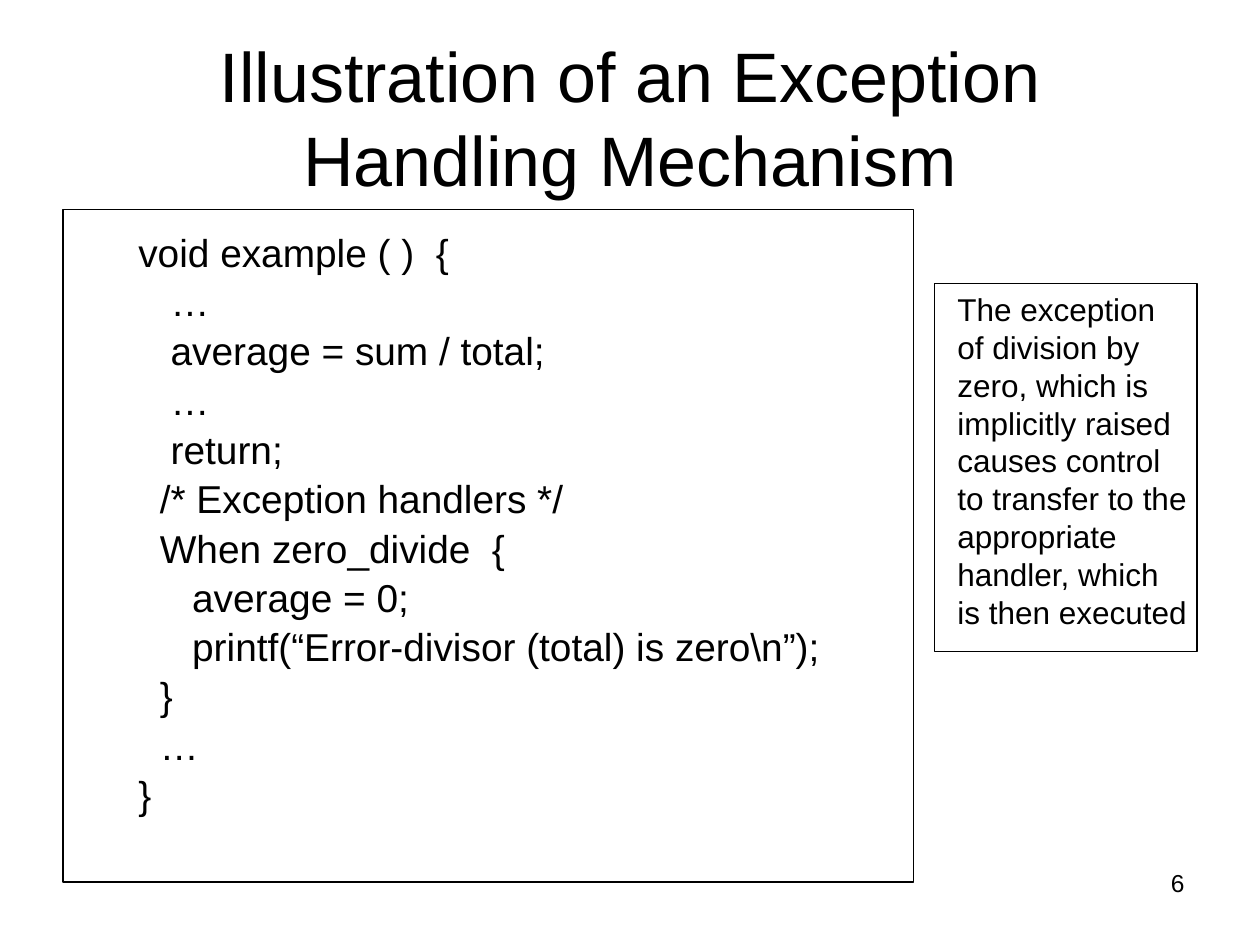
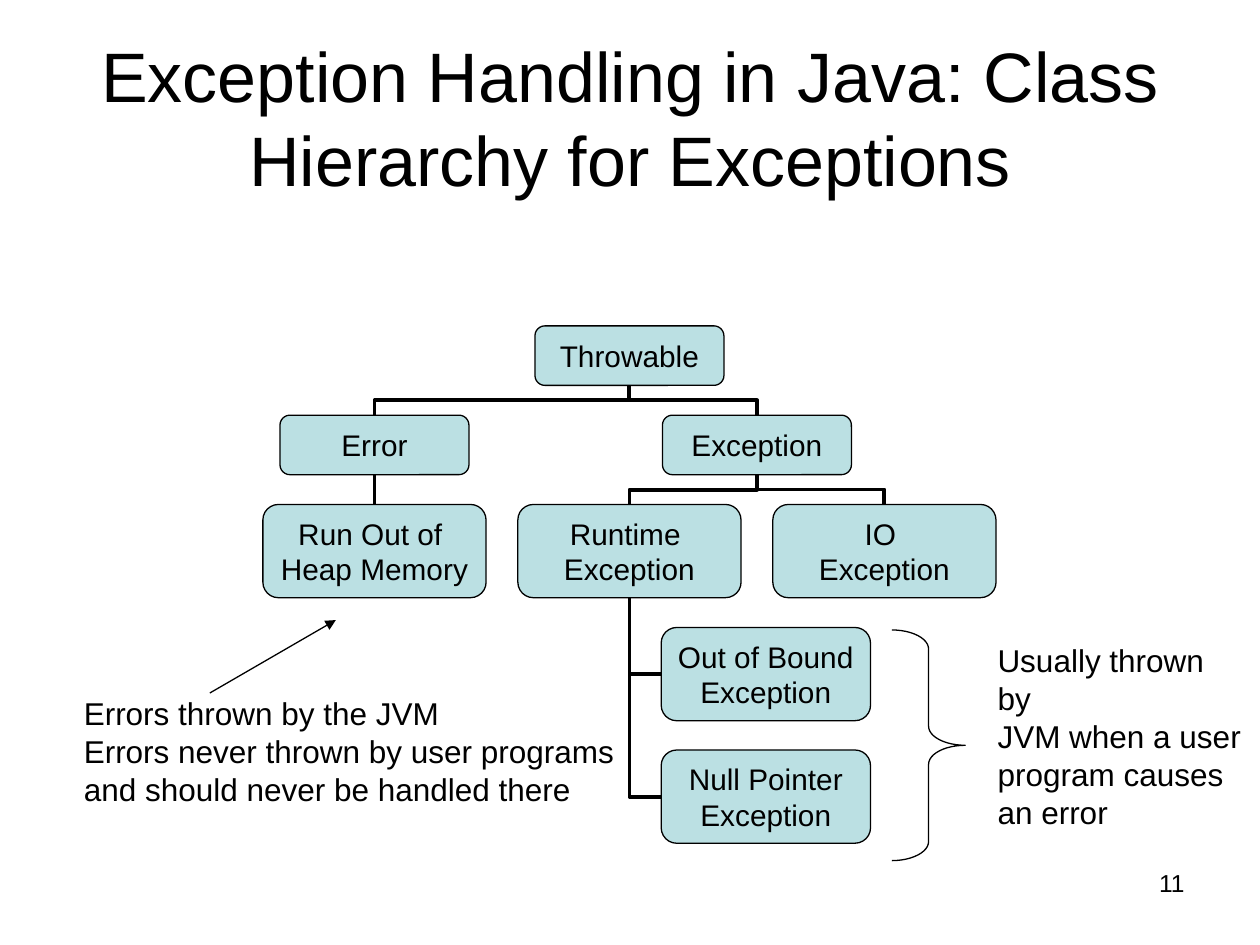
from pptx import Presentation
from pptx.dml.color import RGBColor
from pptx.enum.shapes import MSO_CONNECTOR, MSO_SHAPE
from pptx.enum.text import MSO_ANCHOR, MSO_AUTO_SIZE, PP_ALIGN
from pptx.util import Cm, Pt
from lxml.etree import SubElement
from pptx.oxml.ns import qn

HUES = {"ink": "000000", "node": "BBE0E3"}
FONT = "Arial"
CODE = """void example ( )  {
   …
   average = sum / total;
   …
   return;
  /* Exception handlers */
  When zero_divide  {
     average = 0;
     printf(“Error-divisor (total) is zero\\n”);
  }
  …
}"""
NOTE = """The exception
of division by
zero, which is
implicitly raised
causes control
to transfer to the
appropriate
handler, which
is then executed"""
LEFT = """Errors thrown by the JVM
Errors never thrown by user programs
and should never be handled there"""
RIGHT = """Usually thrown by
JVM when a user
program causes
an error"""


def hue(name):
    """Return a named colour."""
    return RGBColor.from_string(HUES[name])


def write(shape, text, size=18, align=PP_ALIGN.LEFT, anchor=MSO_ANCHOR.TOP,
          wrap=False, fit=MSO_AUTO_SIZE.NONE, gap=0, inset=(0.25, 0.13)):
    """Fill a shape with formatted lines of text."""
    frame = shape.text_frame
    frame.text = text
    frame.word_wrap, frame.auto_size = wrap, fit
    frame.vertical_anchor = anchor
    frame.margin_left, frame.margin_top = map(Cm, inset)
    frame.margin_right, frame.margin_bottom = Cm(0.25), Cm(0.13)
    for index, line in enumerate(frame.paragraphs):
        line.alignment = align
        line.space_before = Pt(gap if index else 0)
        line.font.name, line.font.size = FONT, Pt(size)
        line.font.color.rgb = hue("ink")


def label(slide, box, text, **form):
    """Add a text box."""
    write(slide.shapes.add_textbox(*map(Cm, box)), text, **form)


def outline(slide, kind, box, fill=None):
    """Add a thin-lined preset shape."""
    shape = slide.shapes.add_shape(kind, *map(Cm, box))
    shape.shadow.inherit = False
    shape.line.color.rgb, shape.line.width = hue("ink"), Pt(0.75)
    if fill:
        shape.fill.solid()
        shape.fill.fore_color.rgb = hue(fill)
    else:
        shape.fill.background()
    return shape


def link(slide, kind, ends, width):
    """Add a connector without a shadow."""
    line = slide.shapes.add_connector(kind, *map(Cm, ends))
    line.line.color.rgb, line.line.width = hue("ink"), Pt(width)
    SubElement(line._element.spPr, qn("a:effectLst"))
    return line


def branch(slide, start, end):
    """Join the foot of one node to the head of another."""
    (left, top), (right, foot) = start, end
    mid, level = (left + right) / 2, (top + foot) / 2
    run, drop = (right - left) / 2, (foot - top) / 2
    ends = mid - drop, level + run, mid + drop, level - run
    line = link(slide, MSO_CONNECTOR.ELBOW, ends, 2.25)
    line._element.spPr.xfrm.set("rot", "5400000")


def hang(slide, start, end):
    """Join the foot of a node to the side of a stacked node."""
    line = link(slide, MSO_CONNECTOR.ELBOW, (*start, *end), 2.25)
    line._element.spPr.xfrm.set("rot", "10800000")
    line._element.spPr.prstGeom.set("prst", "bentConnector2")


def base(deck, title, number):
    """Add a slide with its title and number."""
    slide = deck.slides.add_slide(deck.slide_layouts[5])
    head = slide.shapes.title
    head.left, head.top, head.width, head.height = map(Cm, (1.27, 0.76, 22.86, 3.18))
    write(head, title, size=40, align=PP_ALIGN.CENTER,
          anchor=MSO_ANCHOR.MIDDLE, wrap=True)
    label(slide, (18.2, 17.36, 5.93, 1.32), number, size=14,
          align=PP_ALIGN.RIGHT, wrap=True)
    return slide


def listing(slide, box):
    """Place the framed code."""
    left, top, width, height = box
    label(slide, (left, top + 0.2, width, height - 0.96), CODE, size=22.2,
          gap=1.5, wrap=True, inset=(1.52, 0.18))
    outline(slide, MSO_SHAPE.RECTANGLE, box)


def remark(slide, box):
    """Place the framed remark."""
    left, top, width, height = box
    label(slide, (left + 0.21, top, width - 0.15, height - 0.3), NOTE,
          fit=MSO_AUTO_SIZE.SHAPE_TO_FIT_TEXT)
    outline(slide, MSO_SHAPE.RECTANGLE, box)


def tree(slide, box):
    """Place the class tree and its links."""
    left, top, width, height = box
    small, large, leaf = (3.81, 1.2), (4.5, 1.88), (4.22, 1.88)
    step = (width - large[0]) / 2
    first = left + large[0] / 2
    mid, last = first + step, first + 2 * step
    rows = [top, top + 1.8, top + 3.6]
    side = mid + 0.64
    drop = height - leaf[1]
    nodes = {
        "root": ("Throwable", mid, rows[0], small),
        "error": ("Error", first, rows[1], small),
        "fault": ("Exception", (mid + last) / 2, rows[1], small),
        "heap": ("Run Out of \nHeap Memory", first, rows[2], large),
        "run": ("Runtime \nException", mid, rows[2], large),
        "io": ("IO \nException", last, rows[2], large),
        "bound": ("Out of Bound\nException", side + leaf[0] / 2,
                  top + drop - 2.47, leaf),
        "null": ("Null Pointer\nException", side + leaf[0] / 2,
                 top + drop, leaf),
    }
    pairs = [("root", "error"), ("root", "fault"), ("error", "heap"),
             ("fault", "run"), ("fault", "io")]
    for parent, child in pairs:
        _, x, y, size = nodes[parent]
        branch(slide, (x, y + size[1]), nodes[child][1:3])
    for child in ("bound", "null"):
        y = nodes[child][2] + leaf[1] / 2
        hang(slide, (mid, rows[2] + large[1]), (side, y))
    for text, x, y, (wide, high) in nodes.values():
        node = outline(slide, MSO_SHAPE.ROUNDED_RECTANGLE,
                       (x - wide / 2, y, wide, high), "node")
        write(node, text, size=17, align=PP_ALIGN.CENTER,
              anchor=MSO_ANCHOR.MIDDLE)


def aside(slide, box):
    """Place the left remark and its arrow."""
    left, top, width, _ = box
    label(slide, box, LEFT, fit=MSO_AUTO_SIZE.SHAPE_TO_FIT_TEXT)
    ends = left + 2.79, top + 0.1, left + 5.33, top - 1.37
    arrow = link(slide, MSO_CONNECTOR.STRAIGHT, ends, 0.75)
    SubElement(arrow.line._get_or_add_ln(), qn("a:tailEnd"), type="triangle")


def cause(slide, box):
    """Place the brace and the remark beside it."""
    left, top, width, height = box
    brace = outline(slide, MSO_SHAPE.RIGHT_BRACE, (left, top, 1.48, height))
    brace.adjustments[0] = 0.26
    label(slide, (left + 1.88, top + 0.1, width - 1.88, 3.3), RIGHT,
          fit=MSO_AUTO_SIZE.SHAPE_TO_FIT_TEXT)


def main():
    """Build and save the deck."""
    deck = Presentation()
    deck.slide_width, deck.slide_height = Cm(25.4), Cm(19.05)
    slide = base(deck, "Illustration of an Exception Handling Mechanism", "6")
    listing(slide, (1.27, 4.23, 17.15, 13.55))
    remark(slide, (18.84, 5.72, 5.29, 7.41))
    slide = base(deck, "Exception Handling in Java: Class Hierarchy for Exceptions", "11")
    tree(slide, (5.3, 6.57, 14.78, 10.43))
    aside(slide, (1.44, 13.87, 11.2, 2.54))
    cause(slide, (17.98, 12.7, 7.39, 4.65))
    deck.save("out.pptx")


if __name__ == "__main__":
    main()
